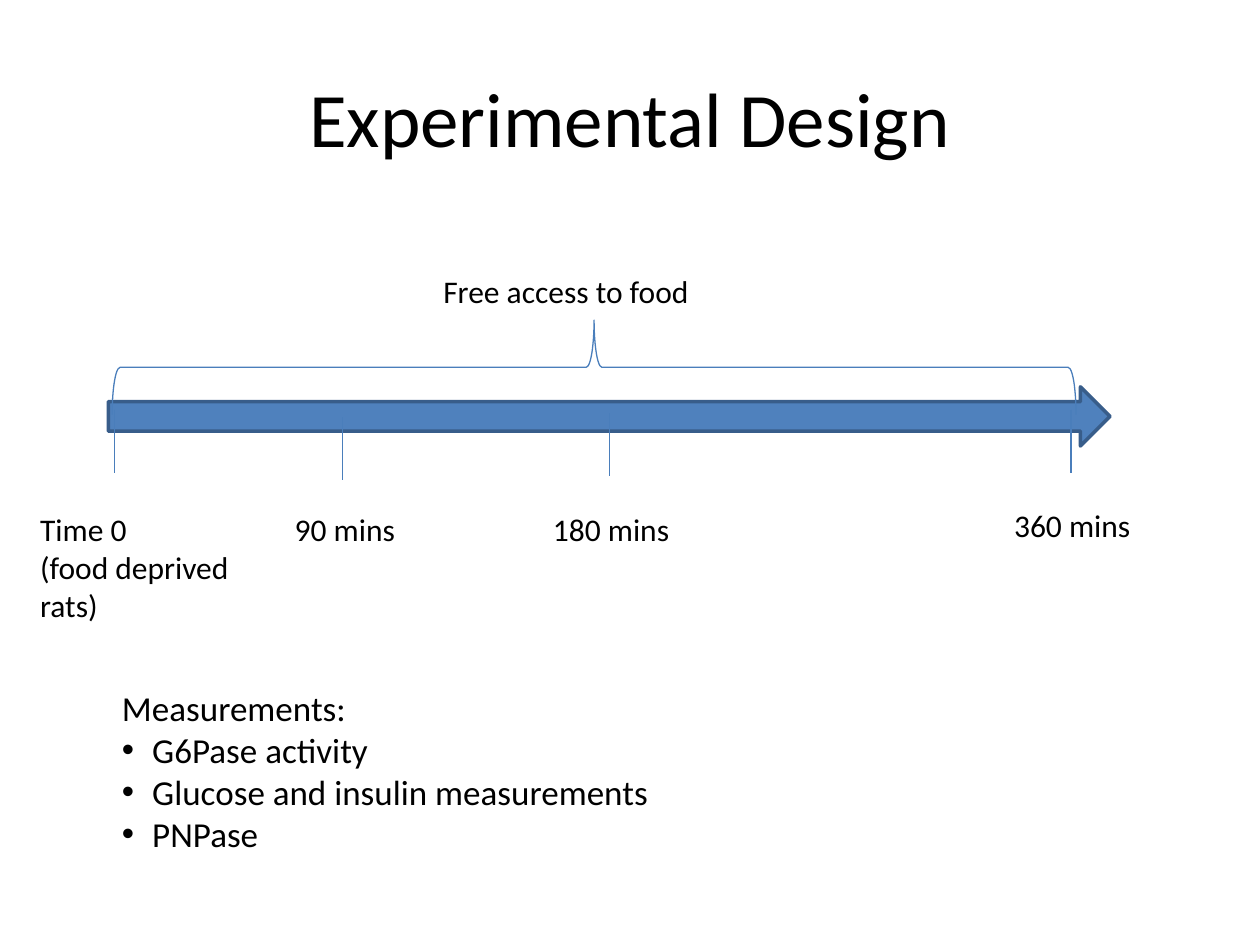
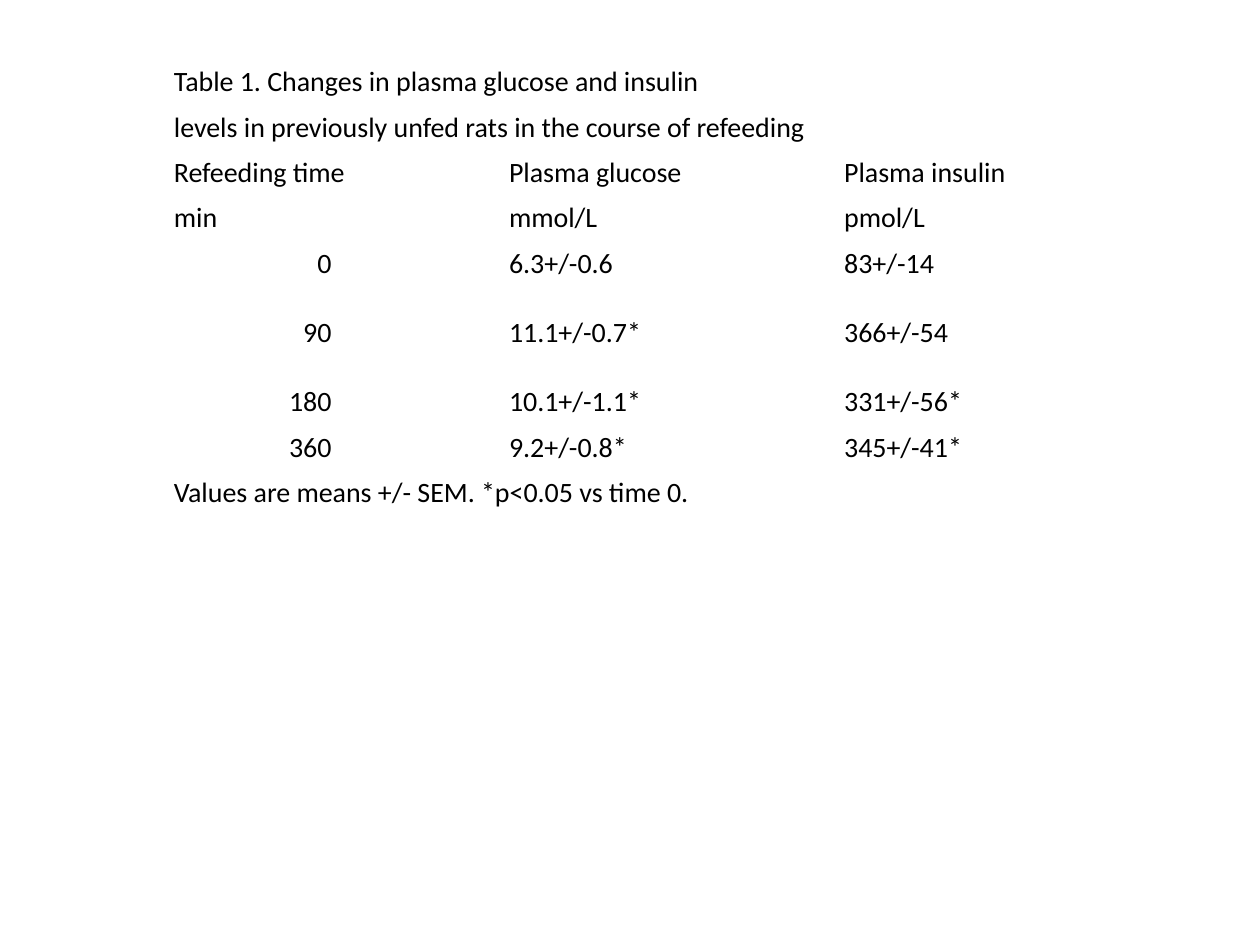
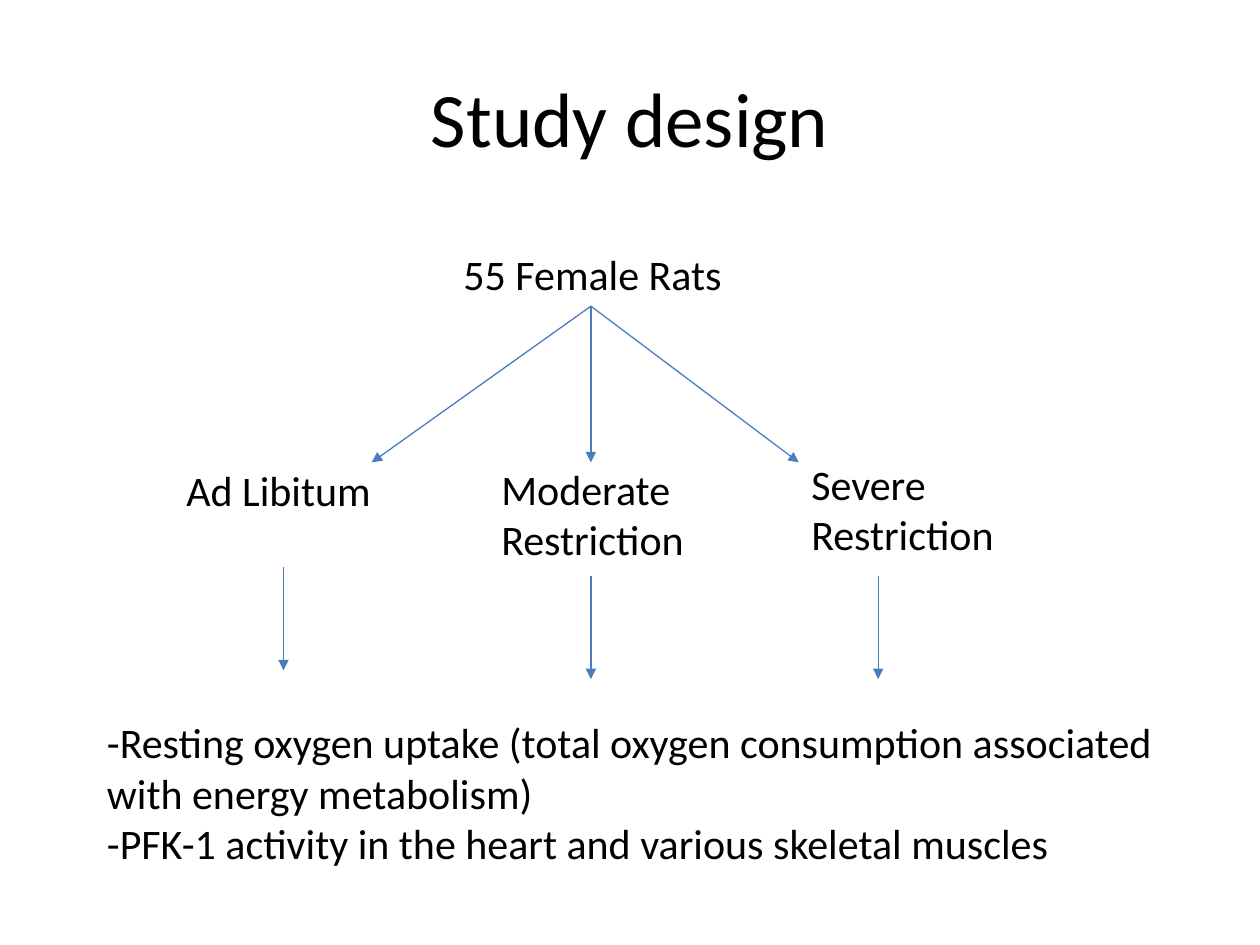
import dataclasses

import pptx
import pptx.dml.color
import pptx.enum.shapes
import pptx.enum.text
import pptx.oxml
import pptx.oxml.ns
import pptx.util

Inches = pptx.util.Inches
Pt = pptx.util.Pt
RGB = pptx.dml.color.RGBColor.from_string
ALIGN = pptx.enum.text.PP_ALIGN
ANCHOR = pptx.enum.text.MSO_ANCHOR
SHAPE = pptx.enum.shapes.MSO_SHAPE


@dataclasses.dataclass(frozen=True)
class Theme:
    font: str = "Calibri"
    ink: str = "000000"
    accent: str = "4F81BD"
    outline: str = "385D8A"
    thin_line: str = "4A7EBB"
    title: int = 44
    flow: int = 24
    measure: int = 20
    label: int = 18
    table: int = 16
    outline_width: float = 2
    thin_width: float = 0.75
    table_spacing: float = 0.93
    bullet_indent: float = 0.24


def apply(target, values):
    for name, value in values.items():
        setattr(target, name, value)


def child(parent, xml):
    namespace = pptx.oxml.ns.nsdecls("a")
    parent.append(pptx.oxml.parse_xml(xml.replace("/>", f" {namespace}/>")))


class Deck:
    """Draws styled elements on the current slide."""

    def __init__(self, theme):
        self.theme = theme
        self.presentation = pptx.Presentation()
        apply(self.presentation, {"slide_width": Inches(10), "slide_height": Inches(7.5)})
        self.slide = None

    def new_slide(self, title=None):
        self.slide = self.presentation.slides.add_slide(self.presentation.slide_layouts[6])
        if title:
            self.text([title], (0.5, 0.3, 9, 1.25), self.theme.title,
                      {"alignment": ALIGN.CENTER}, {"vertical_anchor": ANCHOR.MIDDLE})

    def fill_paragraph(self, paragraph, text, size, layout):
        run = paragraph.add_run()
        run.text = text
        apply(run.font, {"name": self.theme.font, "size": Pt(size)})
        run.font.color.rgb = RGB(self.theme.ink)
        apply(paragraph, layout)

    def text(self, lines, box, size, layout={}, frame_format={}, bullets_from=None):
        frame = self.slide.shapes.add_textbox(*map(Inches, box)).text_frame
        apply(frame, {"word_wrap": True, **frame_format})
        for index, line in enumerate(lines):
            paragraph = frame.add_paragraph() if index else frame.paragraphs[0]
            self.fill_paragraph(paragraph, line, size, layout)
            if bullets_from is not None and index >= bullets_from:
                self.bullet(paragraph)

    def bullet(self, paragraph):
        properties = paragraph._p.get_or_add_pPr()
        indent = Inches(self.theme.bullet_indent)
        properties.set("marL", str(indent))
        properties.set("indent", str(-indent))
        child(properties, '<a:buFont typeface="Arial"/>')
        child(properties, '<a:buChar char="•"/>')

    def shape(self, kind, box, line, width, fill=None, rotation=0):
        shape = self.slide.shapes.add_shape(kind, *map(Inches, box))
        shape.shadow.inherit = False
        shape.rotation = rotation
        if fill:
            shape.fill.solid()
            shape.fill.fore_color.rgb = RGB(fill)
        else:
            shape.fill.background()
        shape.line.color.rgb = RGB(line)
        shape.line.width = Pt(width)

    def line(self, start, end, arrow=False):
        connector = self.slide.shapes.add_connector(
            pptx.enum.shapes.MSO_CONNECTOR.STRAIGHT, *map(Inches, start + end))
        connector.line.color.rgb = RGB(self.theme.thin_line)
        connector.line.width = Pt(self.theme.thin_width)
        properties = connector._element.spPr
        if arrow:
            child(properties.find(pptx.oxml.ns.qn("a:ln")), '<a:tailEnd type="triangle"/>')
        child(properties, "<a:effectLst/>")

    def table(self, rows, widths, left, top):
        heights = [height for height, _, _ in rows]
        box = (left, top, sum(widths), sum(heights))
        table = self.slide.shapes.add_table(len(rows), len(widths), *map(Inches, box)).table
        apply(table, {"first_row": False, "horz_banding": False})
        for column, width in zip(table.columns, widths):
            column.width = Inches(width)
        for row, height in zip(table.rows, heights):
            row.height = Inches(height)
        for cell in table.iter_cells():
            cell.fill.background()
            apply(cell, {"margin_top": 0, "margin_bottom": 0})
        for row, (_, texts, span) in enumerate(rows):
            for group, text in enumerate(texts):
                column = 2 * group
                cell = table.cell(row, column)
                if span > 1:
                    cell.merge(table.cell(row, column + span - 1))
                apply(cell, {"vertical_anchor": ANCHOR.BOTTOM,
                             "margin_left": Inches(0.04), "margin_right": Inches(0.04),
                             "margin_top": Inches(0.05), "margin_bottom": Inches(0.05)})
                side = ALIGN.RIGHT if text.isdigit() else ALIGN.LEFT
                self.fill_paragraph(cell.text_frame.paragraphs[0], text, self.theme.table,
                                    {"alignment": side, "line_spacing": self.theme.table_spacing})


def experimental_design(deck):
    theme = deck.theme
    deck.new_slide("Experimental Design")
    deck.shape(SHAPE.RIGHT_ARROW, (0.86, 3.07, 7.95, 0.47),
               theme.outline, theme.outline_width, theme.accent)
    deck.shape(SHAPE.RIGHT_BRACE, (4.34, -0.91, 0.75, 7.65),
               theme.thin_line, theme.thin_width, rotation=270)
    deck.text(["Free access to food"], (3.42, 2.11, 2.83, 0.4), theme.label)
    time_points = [
        (["Time 0", "(food deprived rats)"], 0.22, 4, 0.91, 3.25),
        (["90 mins"], 2.24, 4, 2.72, 3.31),
        (["180 mins"], 4.29, 4, 4.84, 3.28),
        (["360 mins"], 7.95, 3.97, 8.5, 3.25),
    ]
    for label, left, top, tick, tick_top in time_points:
        deck.line((tick, tick_top), (tick, tick_top + 0.5))
        deck.text(label, (left, top, 2.05, 0.4 if len(label) == 1 else 1), theme.label)
    deck.text(["Measurements:", "G6Pase activity", "Glucose and insulin measurements", "PNPase"],
              (0.87, 5.4, 7.94, 1.44), theme.measure, bullets_from=1)


def refeeding_table(deck):
    deck.new_slide()
    rows = [
        (0.55, ["Table 1. Changes in plasma glucose and insulin"], 4),
        (0.36, ["levels in previously unfed rats in the course of refeeding"], 5),
        (0.36, ["Refeeding time", "Plasma glucose", "Plasma insulin"], 2),
        (0.36, ["min", "mmol/L", "pmol/L"], 1),
        (0.36, ["0", "6.3+/-0.6", "83+/-14"], 1),
        (0.55, ["90", "11.1+/-0.7*", "366+/-54"], 1),
        (0.55, ["180", "10.1+/-1.1*", "331+/-56*"], 1),
        (0.36, ["360", "9.2+/-0.8*", "345+/-41*"], 1),
        (0.36, ["Values are means +/- SEM. *p<0.05 vs time 0."], 4),
    ]
    deck.table(rows, [1.33] * 5 + [0.72], 1.34, 0.28)


def study_design(deck):
    size = deck.theme.flow
    deck.new_slide("Study design")
    deck.text(["55 Female Rats"], (3.58, 1.92, 3.62, 0.5), size)
    diets = [
        (["Ad Libitum"], 1.38, 3.64, 2.95, 2.25, 4.5),
        (["Moderate", "Restriction"], 3.88, 3.63, 4.69, 4.69, 4.57),
        (["Severe", "Restriction"], 6.34, 3.59, 6.34, 6.97, 4.57),
    ]
    for diet, left, top, branch_end, outcome, outcome_top in diets:
        deck.line((4.69, 2.43), (branch_end, 3.67), arrow=True)
        deck.text(diet, (left, top, 3.62, 0.1 + 0.4 * len(diet)), size)
        deck.line((outcome, outcome_top), (outcome, outcome_top + 0.82), arrow=True)
    deck.text(["-Resting oxygen uptake (total oxygen consumption associated with energy metabolism)",
               "-PFK-1 activity in the heart and various skeletal muscles"],
              (0.75, 5.64, 8.82, 1.7), size)


def main():
    deck = Deck(Theme())
    for build in (experimental_design, refeeding_table, study_design):
        build(deck)
    deck.presentation.save("out.pptx")


if __name__ == "__main__":
    main()
